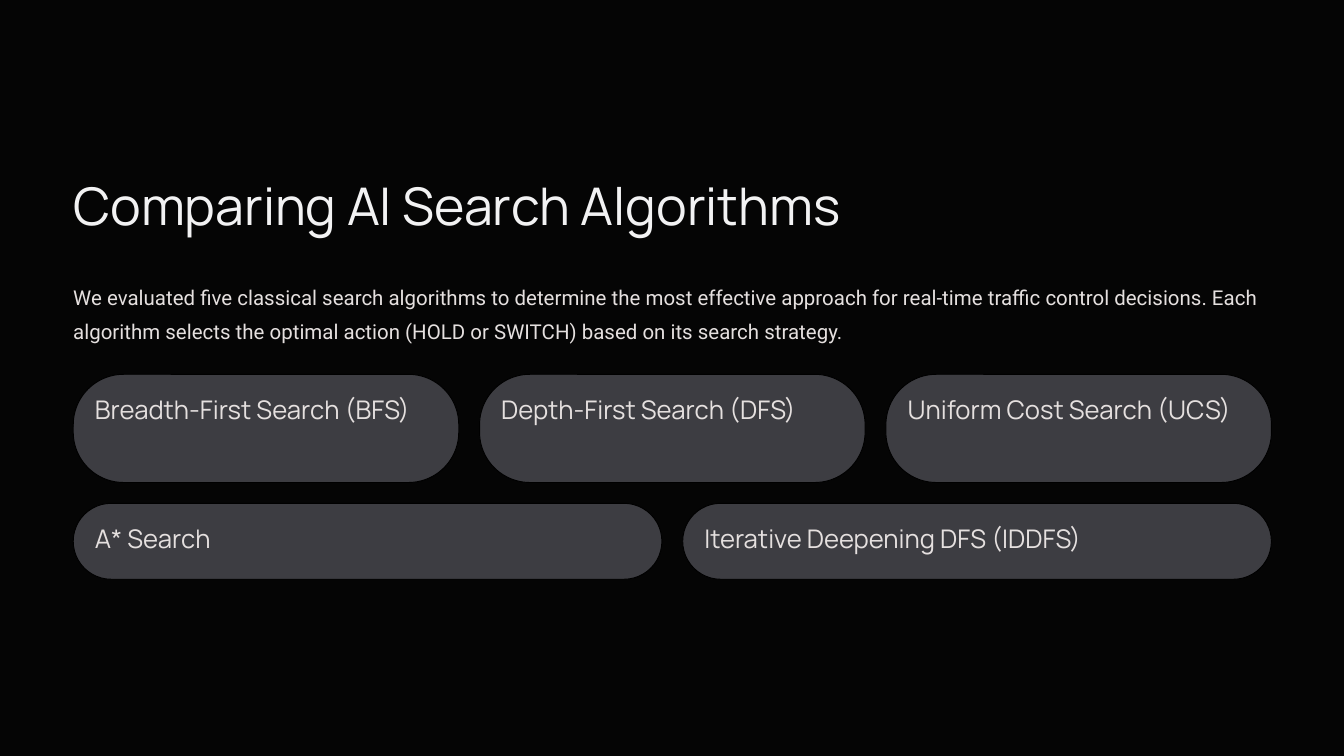
from pptx import Presentation
from pptx.dml.color import RGBColor
from pptx.enum.shapes import MSO_SHAPE as Shape
from pptx.enum.text import MSO_ANCHOR as Anchor, MSO_AUTO_SIZE as AutoSize, PP_ALIGN as Align
from pptx.util import Inches, Pt

COLORS = {"page": "050505", "card": "3D3D42", "edge": "000000",
          "title": "F2F2F3", "text": "E5E0DF"}
LEFT, WIDTH = 1.09, 17.83
GAP = 0.31
PAD_X, PAD_Y = 0.32, 0.27
MAX_RADIUS = 0.75
CORNER_INSET = 0.29  # share of the corner radius that a rounded shape keeps free of text

TITLE = "Comparing AI Search Algorithms"
INTRO = ("We evaluated five classical search algorithms to determine the most effective "
         "approach for real-time traffic control decisions. Each algorithm selects the "
         "optimal action (HOLD or SWITCH) based on its search strategy.")
CARD_ROWS = [
    (1.61, ["Breadth-First Search (BFS)", "Depth-First Search (DFS)",
            "Uniform Cost Search (UCS)"]),
    (1.13, ["A* Search", "Iterative Deepening DFS (IDDFS)"]),
]


def rgb(name):
    return RGBColor.from_string(COLORS[name])


def write(sp, text, font, size, leading, color, inset=(0, 0)):
    tf = sp.text_frame
    tf.word_wrap = True
    tf.auto_size = AutoSize.NONE
    tf.vertical_anchor = Anchor.TOP
    tf.margin_left = tf.margin_right = Inches(inset[0])
    tf.margin_top = tf.margin_bottom = Inches(inset[1])
    p = tf.paragraphs[0]
    p.text = text
    p.alignment = Align.LEFT
    p.space_before = Pt(0)
    p.line_spacing = Pt(leading)
    p.font.name, p.font.size = font, Pt(size)
    p.font.color.rgb = rgb(color)


def add_heading(s, left, top, width):
    title = s.shapes.title
    title.left, title.top = Inches(left), Inches(top)
    title.width, title.height = Inches(width), Inches(1.05)
    write(title, TITLE, "Manrope", 55.6, 69.4, "title")
    intro = s.shapes.add_textbox(Inches(left), Inches(top + 1.57), Inches(width), Inches(1.1))
    write(intro, INTRO, "Roboto", 21.9, 35.6, "text")


def add_card(s, left, top, width, height, label):
    sp = s.shapes.add_shape(Shape.ROUNDED_RECTANGLE, Inches(left), Inches(top),
                            Inches(width), Inches(height))
    radius = min(MAX_RADIUS, height / 2)
    sp.adjustments[0] = radius / height
    sp.shadow.inherit = False
    sp.fill.solid()
    sp.fill.fore_color.rgb = rgb("card")
    sp.line.color.rgb = rgb("edge")
    sp.line.width = Pt(1)
    corner = CORNER_INSET * radius
    write(sp, label, "Manrope", 27.5, 34.4, "text", (PAD_X - corner, PAD_Y - corner))


def add_card_rows(s, left, top, width):
    for height, labels in CARD_ROWS:
        card_width = (width - GAP * (len(labels) - 1)) / len(labels)
        for i, label in enumerate(labels):
            add_card(s, left + i * (card_width + GAP), top, card_width, height, label)
        top += height + GAP


def main():
    prs = Presentation()
    prs.slide_width, prs.slide_height = Inches(20), Inches(11.25)
    s = prs.slides.add_slide(prs.slide_layouts.get_by_name("Title Only"))
    s.background.fill.solid()
    s.background.fill.fore_color.rgb = rgb("page")
    add_heading(s, LEFT, 2.55, WIDTH)
    add_card_rows(s, LEFT, 5.57, WIDTH)
    prs.save("out.pptx")


if __name__ == "__main__":
    main()
